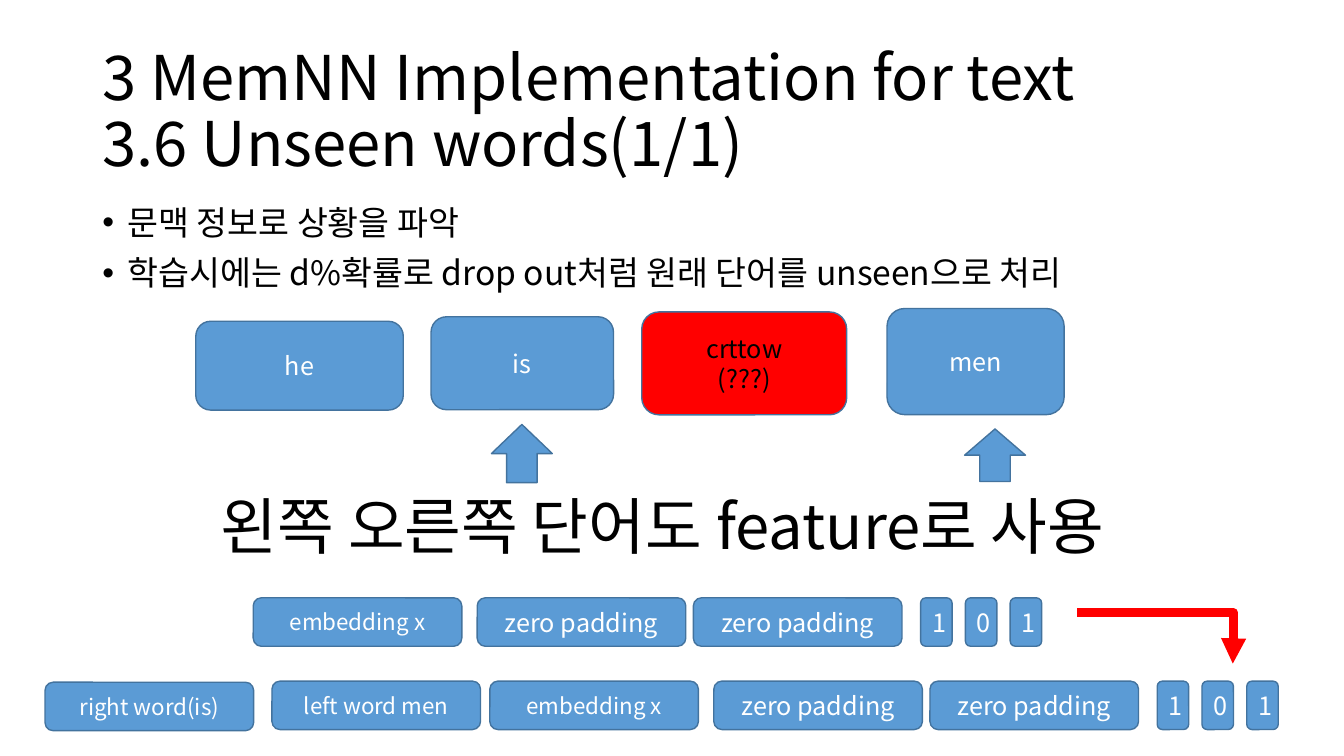
from dataclasses import dataclass

from lxml.etree import SubElement
from pptx import Presentation
from pptx.dml.color import RGBColor
from pptx.enum.shapes import MSO_CONNECTOR, MSO_SHAPE
from pptx.enum.text import MSO_ANCHOR, MSO_AUTO_SIZE, PP_ALIGN
from pptx.oxml.ns import qn
from pptx.util import Pt


@dataclass(frozen=True)
class Theme:
    font: str = "Noto Sans CJK KR"
    black: RGBColor = RGBColor(0x00, 0x00, 0x00)
    white: RGBColor = RGBColor(0xFF, 0xFF, 0xFF)
    blue: RGBColor = RGBColor(0x5B, 0x9B, 0xD5)
    outline: RGBColor = RGBColor(0x43, 0x73, 0x9E)
    red: RGBColor = RGBColor(0xFF, 0x00, 0x00)
    heading: int = 44
    body: int = 24
    label: int = 18
    small: int = 16


def apply(target, values):
    for name, value in values.items():
        setattr(target, name, value)


def place(shape, bounds):
    apply(shape, dict(zip(("left", "top", "width", "height"), map(Pt, bounds))))


class SlideBuilder:
    def __init__(self, theme, slide):
        self.theme = theme
        self.slide = slide

    def add_lines(self, frame, lines, size, color, **paragraph_format):
        for index, line in enumerate(lines):
            para = frame.add_paragraph() if index else frame.paragraphs[0]
            para.text = line
            apply(para, paragraph_format)
            for span in para.runs:
                apply(span.font, {"name": self.theme.font, "size": Pt(size)})
                span.font.color.rgb = color
                east_asian = SubElement(span.font._element, qn("a:ea"))
                east_asian.set("typeface", self.theme.font)

    def title(self, text, bounds):
        box = self.slide.shapes.title
        place(box, bounds)
        apply(box.text_frame, {"word_wrap": True, "auto_size": MSO_AUTO_SIZE.NONE,
                               "vertical_anchor": MSO_ANCHOR.MIDDLE})
        self.add_lines(box.text_frame, [text], self.theme.heading, self.theme.black,
                       alignment=PP_ALIGN.LEFT, line_spacing=0.9)

    def bullets(self, lines, bounds):
        box = self.slide.shapes.add_textbox(*map(Pt, bounds))
        box.text_frame.word_wrap = True
        self.add_lines(box.text_frame, lines, self.theme.body, self.theme.black,
                       line_spacing=0.9, space_before=Pt(10))
        for para in box.text_frame.paragraphs:
            properties = para._p.get_or_add_pPr()
            properties.set("marL", str(Pt(18)))
            properties.set("indent", str(Pt(-18)))
            SubElement(properties, qn("a:buFont")).set("typeface", "Arial")
            SubElement(properties, qn("a:buChar")).set("char", "•")

    def statement(self, text, bounds):
        box = self.slide.shapes.add_textbox(*map(Pt, bounds))
        apply(box.text_frame, {"word_wrap": False,
                               "auto_size": MSO_AUTO_SIZE.SHAPE_TO_FIT_TEXT})
        self.add_lines(box.text_frame, [text], self.theme.heading, self.theme.black,
                       alignment=PP_ALIGN.CENTER)

    def block(self, kind, bounds, lines=(), size=None, fill=None, color=None):
        shape = self.slide.shapes.add_shape(kind, *map(Pt, bounds))
        shape.shadow.inherit = False
        shape.fill.solid()
        shape.fill.fore_color.rgb = fill or self.theme.blue
        shape.line.color.rgb = self.theme.outline
        shape.line.width = Pt(1)
        apply(shape.text_frame, {"word_wrap": True, "vertical_anchor": MSO_ANCHOR.MIDDLE})
        self.add_lines(shape.text_frame, lines, size or self.theme.label,
                       color or self.theme.white, alignment=PP_ALIGN.CENTER)

    def cell(self, text, left, top, width, size=None):
        self.block(MSO_SHAPE.ROUNDED_RECTANGLE, (left, top, width, 34.6), [text], size)

    def feature_vector(self, left, top):
        """Embedding, two paddings and three flags, side by side."""
        self.cell("embedding x", left, top, 149, self.theme.small)
        for offset in (160, 314.4):
            self.cell("zero padding", left + offset, top, 149)
        for index, flag in enumerate("101"):
            self.cell(flag, left + 476.7 + 32 * index, top, 22.5)

    def elbow_arrow(self, start, end):
        """Run across first, then down to the arrowhead."""
        arrow = self.slide.shapes.add_connector(MSO_CONNECTOR.ELBOW, *map(Pt, start + end))
        arrow.line.color.rgb = self.theme.red
        arrow.line.width = Pt(6)
        properties = arrow._element.spPr
        SubElement(properties.find(qn("a:ln")), qn("a:tailEnd")).set("type", "triangle")
        SubElement(properties, qn("a:effectLst"))
        guides = properties.find(qn("a:prstGeom")).get_or_add_avLst()
        bend = SubElement(guides, qn("a:gd"))
        bend.set("name", "adj1")
        bend.set("fmla", "val 100500")


def main():
    theme = Theme()
    deck = Presentation()
    apply(deck, {"slide_width": Pt(960), "slide_height": Pt(540)})
    page = SlideBuilder(theme, deck.slides.add_slide(deck.slide_layouts[5]))

    page.title("3 MemNN Implementation for text\v3.6 Unseen words(1/1)", (66, 28.75, 869, 104.4))
    page.bullets(["문맥 정보로 상황을 파악",
                  "학습시에는 d%확률로 drop out처럼 원래 단어를 unseen으로 처리"],
                 (66, 143.75, 828, 342.6))

    unseen = {"fill": theme.red, "color": theme.black}
    for lines, bounds, colors in (
        (["he"], (139.9, 229.5, 148.2, 63.4), {}),
        (["is"], (307.9, 226.3, 130.4, 66.4), {}),
        (["crttow", "(???)"], (458.4, 222.8, 146.4, 73.5), unseen),
        (["men"], (633.6, 220.4, 126.5, 75.8), {}),
    ):
        page.block(MSO_SHAPE.ROUNDED_RECTANGLE, bounds, lines, **colors)

    for bounds in ((351, 303.2, 43.5, 41.6), (689, 306.4, 43.5, 37.5)):
        page.block(MSO_SHAPE.UP_ARROW, bounds)
    page.statement("왼쪽 오른쪽 단어도 feature로 사용", (120.2, 344.9, 706.3, 60.6))

    page.feature_vector(180.9, 427)
    page.cell("right word(is)", 32.2, 487.3, 149, theme.small)
    page.cell("left word men", 194.3, 486.5, 149, theme.small)
    page.feature_vector(349.9, 486.5)
    page.elbow_arrow((769.5, 437.6), (880.6, 474))

    deck.save("out.pptx")


if __name__ == "__main__":
    main()
